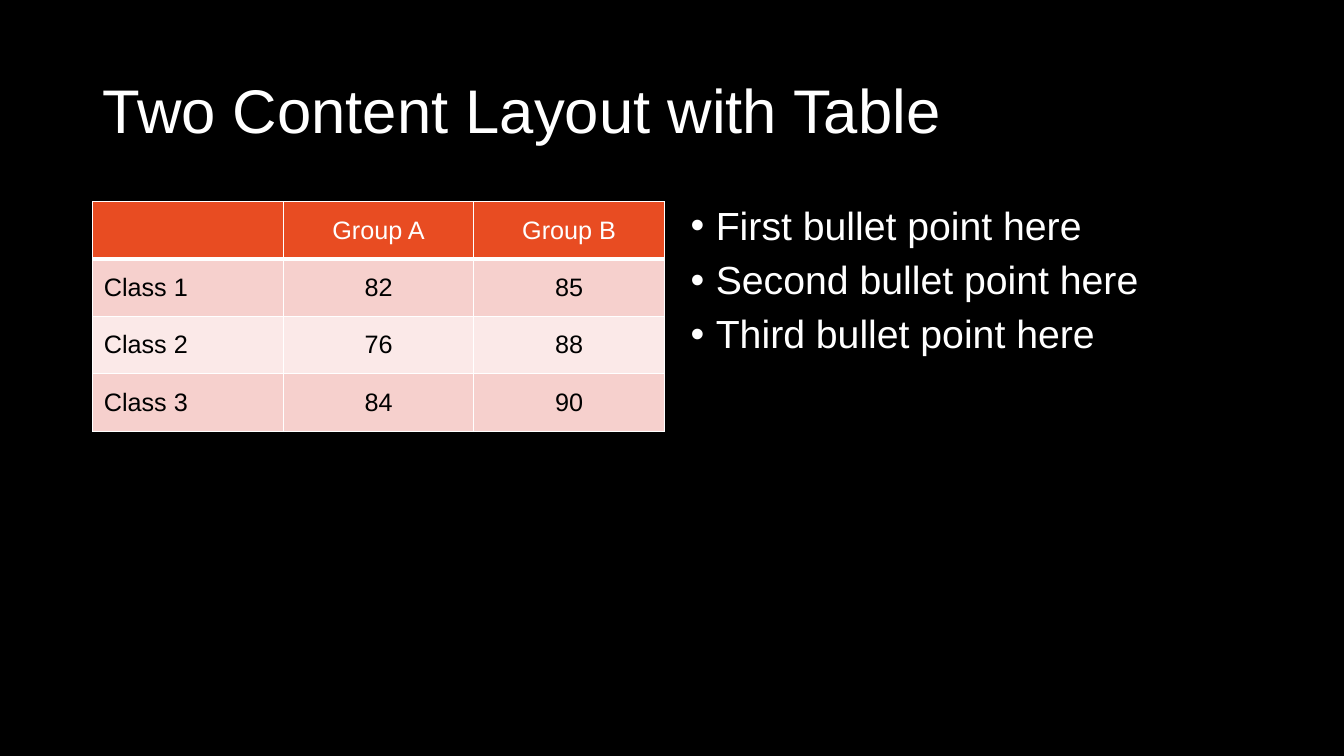
import pptx
import pptx.util
import pptx.dml.color
import pptx.enum.text
import pptx.oxml.ns
from lxml import etree

WHITE = pptx.dml.color.RGBColor(0xFF, 0xFF, 0xFF)
BLACK = pptx.dml.color.RGBColor(0x00, 0x00, 0x00)
ORANGE = pptx.dml.color.RGBColor(0xE8, 0x4C, 0x22)
ROSE = pptx.dml.color.RGBColor(0xF6, 0xD0, 0xCD)
PALE_ROSE = pptx.dml.color.RGBColor(0xFB, 0xE9, 0xE8)

FONT = "Arial"
LEFT, CONTENT_TOP = 0.92, 2
CONTENT_WIDTH = 11.5
HALF_WIDTH = 5.67
ROW_HEIGHT = 0.57

SCORES = [
    ["", "Group A", "Group B"],
    ["Class 1", "82", "85"],
    ["Class 2", "76", "88"],
    ["Class 3", "84", "90"],
]
POINTS = ["First bullet point here", "Second bullet point here", "Third bullet point here"]


def add_child(parent, tag, **attributes):
    return etree.SubElement(parent, pptx.oxml.ns.qn(tag), attributes)


def place(box, left, top, width, height):
    box.left, box.top, box.width, box.height = map(
        pptx.util.Inches, (left, top, width, height))


def add_span(para, text, size, color):
    span = para.add_run()
    span.text = text
    span.font.name = FONT
    span.font.size = pptx.util.Pt(size)
    span.font.bold = False
    span.font.color.rgb = color


def fill_title(box, text):
    place(box, LEFT, 0.4, CONTENT_WIDTH, 1.45)
    box.text_frame.vertical_anchor = pptx.enum.text.MSO_ANCHOR.MIDDLE
    para = box.text_frame.paragraphs[0]
    para.alignment = pptx.enum.text.PP_ALIGN.LEFT
    para.line_spacing = 0.9
    add_span(para, text, 44, WHITE)


def fill_bullets(box, points):
    place(box, LEFT + CONTENT_WIDTH - HALF_WIDTH, CONTENT_TOP, HALF_WIDTH, 4.76)
    frame = box.text_frame
    for index, point in enumerate(points):
        para = frame.add_paragraph() if index else frame.paragraphs[0]
        para.line_spacing = 0.9
        # Space before as a share of the line, then the hanging bullet
        properties = para._p.get_or_add_pPr()
        indent = pptx.util.Inches(0.25)
        properties.set("marL", str(indent))
        properties.set("indent", str(-indent))
        add_child(add_child(properties, "a:spcBef"), "a:spcPct", val="30000")
        add_child(properties, "a:buFont", typeface=FONT)
        add_child(properties, "a:buChar", char="•")
        add_span(para, point, 28, WHITE)


def draw_borders(cell, bottom_width):
    properties = cell._tc.get_or_add_tcPr()
    for side, width in (("L", 1), ("R", 1), ("T", 1), ("B", bottom_width)):
        line = add_child(properties, f"a:ln{side}", w=str(pptx.util.Pt(width)))
        add_child(add_child(line, "a:solidFill"), "a:srgbClr", val=str(WHITE))


def fill_cell(cell, text, row, column):
    header = row == 0
    draw_borders(cell, 3 if header else 1)
    cell.fill.solid()
    cell.fill.fore_color.rgb = ORANGE if header else ROSE if row % 2 else PALE_ROSE
    cell.vertical_anchor = pptx.enum.text.MSO_ANCHOR.MIDDLE
    cell.margin_left = cell.margin_right = pptx.util.Inches(0.11)
    para = cell.text_frame.paragraphs[0]
    if column:
        para.alignment = pptx.enum.text.PP_ALIGN.CENTER
    if text:
        add_span(para, text, 18, WHITE if header else BLACK)


def add_scores(page, scores):
    lengths = (LEFT, CONTENT_TOP, HALF_WIDTH, ROW_HEIGHT * len(scores))
    table = page.shapes.add_table(
        len(scores), len(scores[0]), *map(pptx.util.Inches, lengths)).table
    for row, values in enumerate(scores):
        for column, text in enumerate(values):
            fill_cell(table.cell(row, column), text, row, column)


def main():
    deck = pptx.Presentation()
    deck.slide_width = pptx.util.Inches(13.33)
    deck.slide_height = pptx.util.Inches(7.5)

    # Page with a black background
    page = deck.slides.add_slide(deck.slide_layouts[1])
    page.background.fill.solid()
    page.background.fill.fore_color.rgb = BLACK

    # Title, list on the right, table on the left
    fill_title(page.shapes.title, "Two Content Layout with Table")
    fill_bullets(page.placeholders[1], POINTS)
    add_scores(page, SCORES)

    deck.save("out.pptx")


if __name__ == "__main__":
    main()
